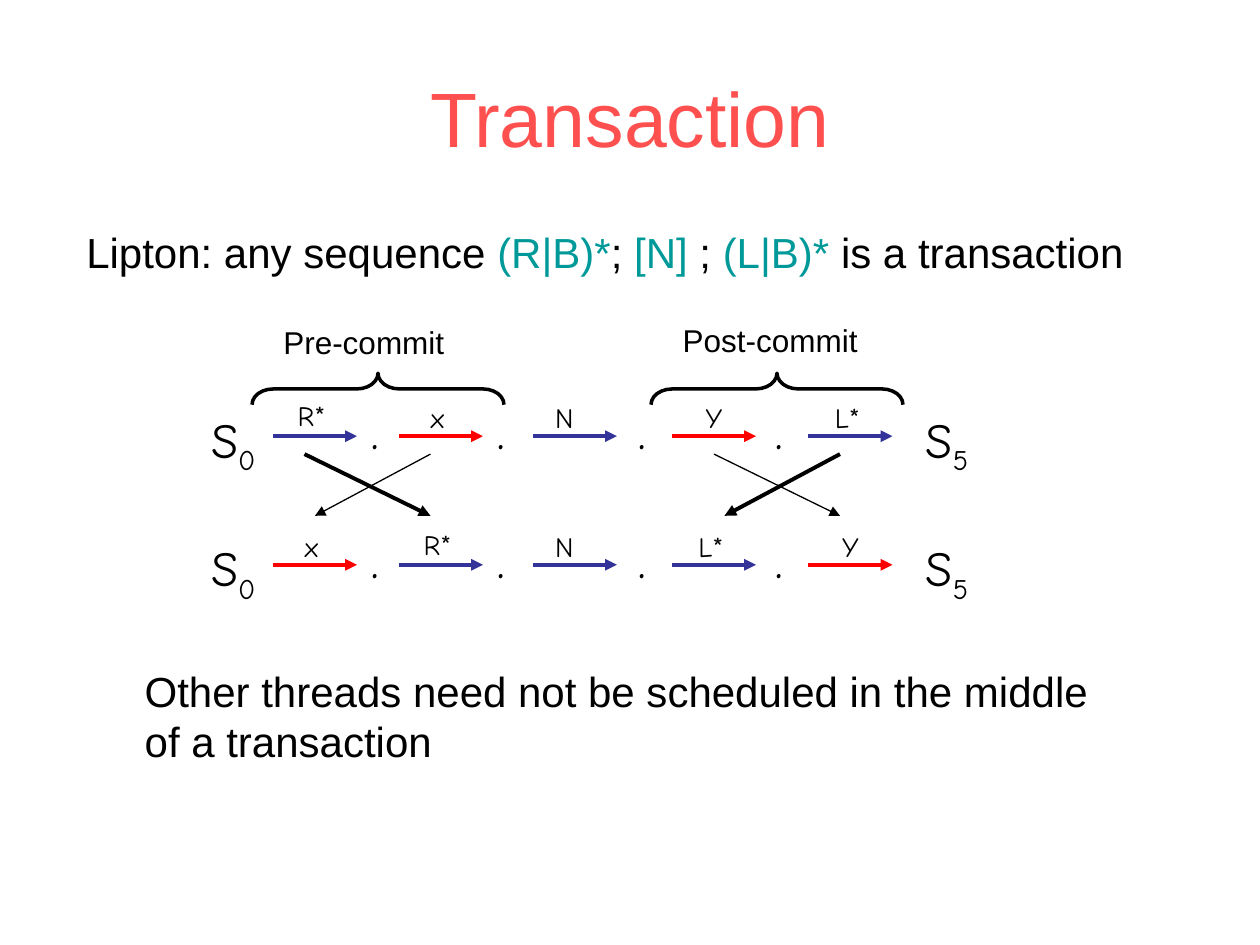
from typing import NamedTuple

from lxml import etree
from pptx import Presentation
from pptx.dml.color import RGBColor
from pptx.enum.shapes import MSO_CONNECTOR, MSO_SHAPE
from pptx.enum.text import MSO_ANCHOR, PP_ALIGN
from pptx.oxml.ns import qn
from pptx.util import Pt

STRAIGHT = MSO_CONNECTOR.STRAIGHT
LEFT_BRACE = MSO_SHAPE.LEFT_BRACE
LEFT, CENTER = PP_ALIGN.LEFT, PP_ALIGN.CENTER
TOP, MIDDLE = MSO_ANCHOR.TOP, MSO_ANCHOR.MIDDLE

COLORS = {
    "title": "FF5050",
    "text": "000000",
    "pattern": "009999",
    "own": "333399",
    "other": "FF0000",
}
SANS, HAND = "Arial", "Comic Neue"


class Span(NamedTuple):
    text: str
    color: str = "text"
    subscript: bool = False


class Step(NamedTuple):
    label: str
    color: str


class Trace(NamedTuple):
    arrow_y: float
    steps: list[Step]


class Phase(NamedTuple):
    name: str
    name_box: tuple[float, float, float, float]
    center_x: float


class Swap(NamedTuple):
    left: float
    right_mover_width: float
    left_mover_width: float


# Actions of the trace and the nudge (x, y) of each label over its arrow
RELEASE, ACQUIRE = Step("R*", "own"), Step("L*", "own")
OTHER_X, OTHER_Y = Step("x", "other"), Step("Y", "other")
COMMIT = Step("N", "own")
LABEL_NUDGE = {"R*": (-2, -1), "x": (-2, 0), "N": (-6, 0),
               "Y": (0, 0), "L*": (-1.75, 0)}

STEP_LEFTS = [156, 228, 304.5, 384, 462]
STEP_LENGTH = 48
LABEL_WIDTH = 42
DOT_LEFTS = [205.2, 277.2, 357.8, 436.2]
STATE_WIDTH = 48

TRACES = [
    Trace(249.25, [RELEASE, OTHER_X, COMMIT, OTHER_Y, ACQUIRE]),
    Trace(322.75, [OTHER_X, RELEASE, COMMIT, ACQUIRE, OTHER_Y]),
]
PHASES = [
    Phase("Pre-commit", (154.8, 181, 106.6, 28.8), 216),
    Phase("Post-commit", (383, 180, 114.5, 28.8), 444),
]
SWAPS = [Swap(174, 2.25, 0.75), Swap(408, 0.75, 2.25)]
SWAP_TOP, SWAP_BOTTOM, SWAP_WIDTH = 259.5, 294.75, 72


def rgb(color: str) -> RGBColor:
    return RGBColor.from_string(COLORS[color])


def add_text(slide, paragraphs: list[list[Span]], *,
             box: tuple[float, float, float, float], size: float,
             font: str = SANS, align=LEFT, anchor=TOP, wrap: bool = False):
    frame = slide.shapes.add_textbox(*map(Pt, box)).text_frame
    frame.word_wrap = wrap
    frame.vertical_anchor = anchor
    for index, spans in enumerate(paragraphs):
        paragraph = frame.add_paragraph() if index else frame.paragraphs[0]
        paragraph.alignment = align
        for span in spans:
            run = paragraph.add_run()
            run.text = span.text
            run.font.name = font
            run.font.size = Pt(size)
            run.font.color.rgb = rgb(span.color)
            if span.subscript:
                run._r.get_or_add_rPr().set("baseline", "-25000")


def add_arrow(slide, start: tuple[float, float], end: tuple[float, float],
              color: str, width: float):
    arrow = slide.shapes.add_connector(STRAIGHT, *map(Pt, start + end))
    arrow.line.color.rgb = rgb(color)
    arrow.line.width = Pt(width)
    line = arrow.line._get_or_add_ln()
    etree.SubElement(line, qn("a:tailEnd"), type="triangle")
    etree.SubElement(arrow._element.spPr, qn("a:effectLst"))


def add_state(slide, number: str, left: float, arrow_y: float):
    add_text(slide, [[Span("S"), Span(number, subscript=True)]],
             box=(left, arrow_y - 18.85, STATE_WIDTH, 45.4),
             size=28, font=HAND, wrap=True)


def add_trace(slide, trace: Trace):
    y = trace.arrow_y
    add_state(slide, "0", 113.5, y)
    add_state(slide, "5", 522, y)
    for left in DOT_LEFTS:
        add_text(slide, [[Span(".")]], box=(left, y - 23.9, 18.7, 41),
                 size=28, font=HAND)
    for left, step in zip(STEP_LEFTS, trace.steps):
        add_arrow(slide, (left, y), (left + STEP_LENGTH, y), step.color, 2.25)
        dx, dy = LABEL_NUDGE[step.label]
        label_left = left + (STEP_LENGTH - LABEL_WIDTH) / 2 + dx
        add_text(slide, [[Span(step.label)]],
                 box=(label_left, y - 23.9 + dy, LABEL_WIDTH, 26.6),
                 size=16, font=HAND, align=CENTER)


def add_phase(slide, phase: Phase):
    depth, span, middle_y = 18, 144, 222.25
    brace = slide.shapes.add_shape(
        LEFT_BRACE, Pt(phase.center_x - depth / 2), Pt(middle_y - span / 2),
        Pt(depth), Pt(span))
    brace.rotation = 90
    brace.adjustments[0] = 0.67
    brace.shadow.inherit = False
    brace.fill.background()
    brace.line.color.rgb = rgb("text")
    brace.line.width = Pt(2)
    add_text(slide, [[Span(phase.name)]], box=phase.name_box, size=18)


def add_swap(slide, swap: Swap):
    right = swap.left + SWAP_WIDTH
    add_arrow(slide, (swap.left, SWAP_TOP), (right, SWAP_BOTTOM),
              "text", swap.right_mover_width)
    add_arrow(slide, (right, SWAP_TOP), (swap.left + 6, SWAP_BOTTOM),
              "text", swap.left_mover_width)


def main():
    deck = Presentation()
    deck.slide_width, deck.slide_height = Pt(720), Pt(540)
    slide = deck.slides.add_slide(deck.slide_layouts[6])

    # Title and definition
    add_text(slide, [[Span("Transaction", "title")]], box=(36, 21.6, 648, 90),
             size=44, align=CENTER, anchor=MIDDLE, wrap=True)
    add_text(slide, [[
        Span("Lipton: any sequence "), Span("(R|B)*", "pattern"), Span("; "),
        Span("[N] ", "pattern"), Span("; "), Span("(L|B)*", "pattern"),
        Span(" is a transaction"),
    ]], box=(42.25, 126, 607, 36), size=24)

    # Traces before and after the swaps, with their phases
    for trace in TRACES:
        add_trace(slide, trace)
    for swap in SWAPS:
        add_swap(slide, swap)
    for phase in PHASES:
        add_phase(slide, phase)

    # Conclusion
    add_text(slide, [
        [Span("Other threads need not be scheduled in the middle")],
        [Span("of a transaction")],
    ], box=(75.6, 376.6, 560.2, 64.8), size=24)

    deck.save("out.pptx")


if __name__ == "__main__":
    main()
